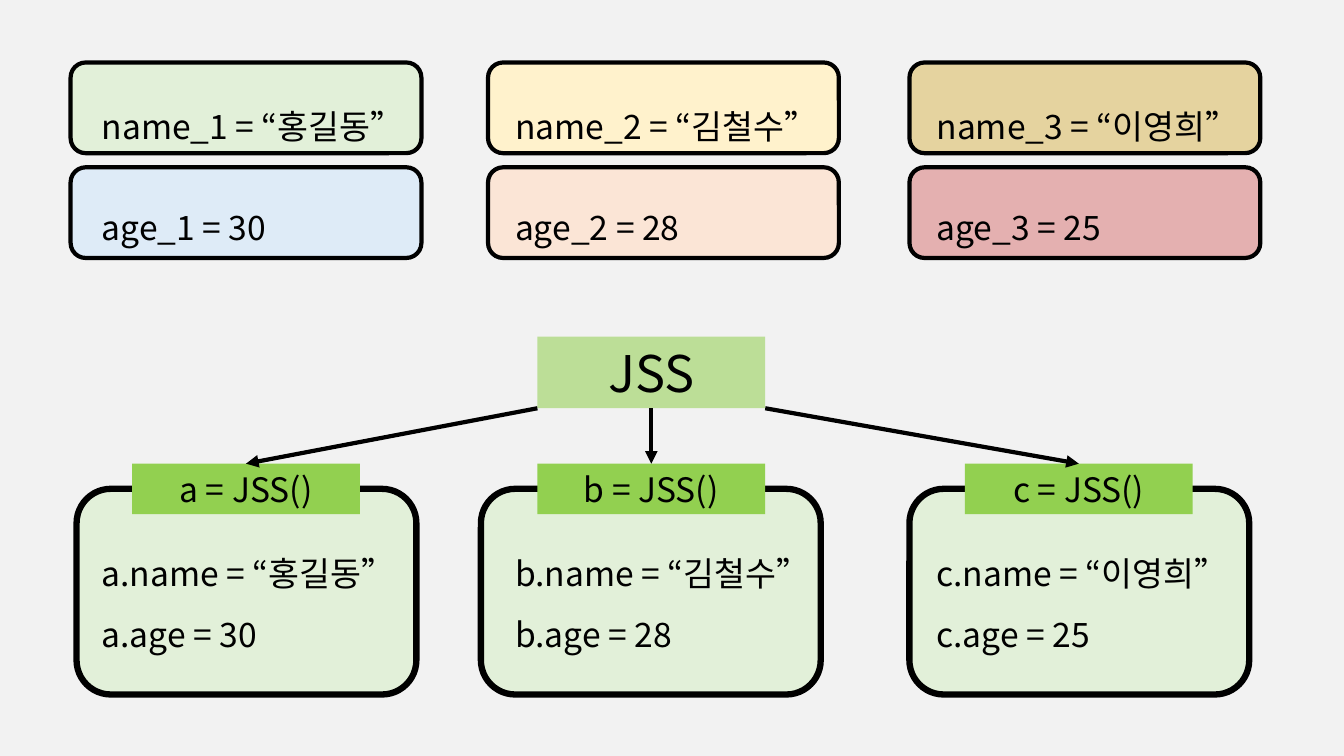
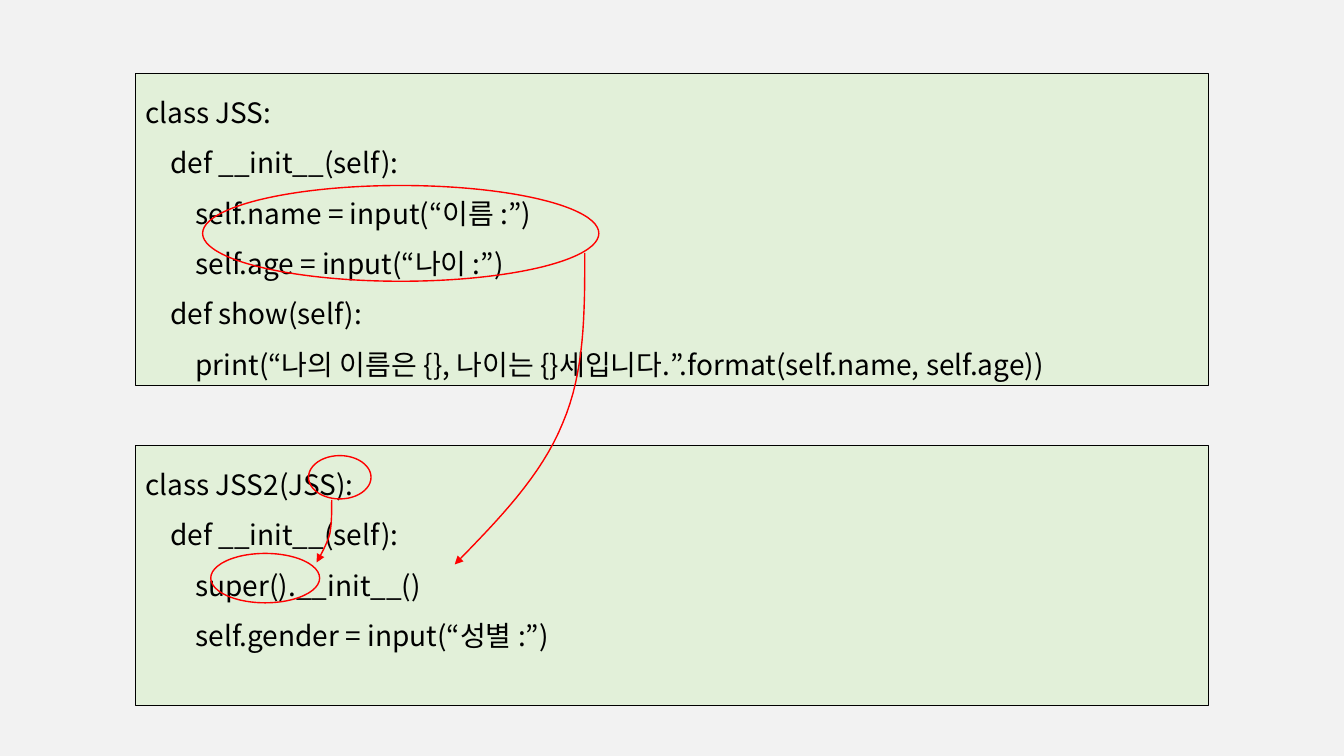
from dataclasses import dataclass
from lxml.etree import SubElement
from pptx import Presentation
from pptx.dml.color import RGBColor
from pptx.enum.shapes import MSO_CONNECTOR, MSO_SHAPE
from pptx.enum.text import MSO_ANCHOR, PP_ALIGN
from pptx.oxml.ns import qn
from pptx.util import Inches, Pt


@dataclass(frozen=True)
class Theme:
    font: str = "Noto Sans CJK KR"
    back: str = "F2F2F2"
    ink: str = "000000"
    pale: str = "E2F0D9"
    lime: str = "92D050"
    mark: str = "FF0000"
    head: int = 36
    body: int = 24
    code: int = 20


THEME = Theme()

# Slide 1: one entry per object; fills are (colour, opacity %)
PEOPLE = [
    dict(var="a", name="홍길동", age=30, card=0.7, text=0.91, body=0.76, tag=1.31,
         fills=[(THEME.pale, 100), ("DEEBF7", 100)]),
    dict(var="b", name="김철수", age=28, card=4.84, text=5.01, body=4.77, tag=5.33,
         fills=[("FFF2CC", 100), ("FBE5D6", 100)]),
    dict(var="c", name="이영희", age=25, card=9.02, text=9.19, body=9.02, tag=9.57,
         fills=[("CC9900", 34), ("C00000", 27)]),
]
CARD_TOP, CARD_STEP = 0.62, 1.04
ROOT = (5.33, 3.34, 2.26, 0.71)
TAG_TOP, TAG_W, TAG_H = 4.6, 2.26, 0.5

# Slide 2: (top, height, lines as (level, text))
CODE_X, CODE_W, INDENT = 1.34, 10.65, 0.25
BLOCKS = [
    (0.73, 3.09, [
        (0, "class JSS:"),
        (1, "def __init__(self):"),
        (2, "self.name = input(“이름 :”)"),
        (2, "self.age = input(“나이 :”)"),
        (1, "def show(self):"),
        (2, "print(“나의 이름은 {}, 나이는 {}세입니다.”.format(self.name, self.age))"),
    ]),
    (4.42, 2.58, [
        (0, "class JSS2(JSS):"),
        (1, "def __init__(self):"),
        (2, "super().__init__()"),
        (2, "self.gender = input(“성별 :”)"),
    ]),
]
RINGS = [(3.06, 4.52, 0.62, 0.43), (2.09, 5.49, 1.08, 0.49), (2.01, 1.84, 3.93, 0.95)]
# Each curve is a chain of cubic Bezier points
CURVES = [
    [(3.29, 4.96), (3.29, 5.08), (3.29, 5.2), (3.27, 5.3),
     (3.24, 5.4), (3.19, 5.49), (3.14, 5.58)],
    [(5.8, 2.51), (5.8, 3.1), (5.8, 3.69), (5.58, 4.2),
     (5.37, 4.72), (4.94, 5.16), (4.51, 5.6)],
]


# Shared helpers
def color(code):
    return RGBColor.from_string(code)


def stroke(shape, code, width, arrow=False):
    shape.line.color.rgb = color(code)
    shape.line.width = Pt(width)
    if arrow:
        SubElement(shape.line._get_or_add_ln(), qn("a:tailEnd"), type="triangle")


def add_box(slide, kind, at, fill=None, line=None, width=1, alpha=100):
    shape = slide.shapes.add_shape(kind, *map(Inches, at))
    shape.shadow.inherit = False
    if fill:
        shape.fill.solid()
        shape.fill.fore_color.rgb = color(fill)
        if alpha < 100:
            tint = shape._element.spPr.find(".//" + qn("a:srgbClr"))
            SubElement(tint, qn("a:alpha"), val=str(alpha * 1000))
    else:
        shape.fill.background()
    if line:
        stroke(shape, line, width)
    else:
        shape.line.fill.background()
    return shape


def write(shape, lines, size, space=1.0, center=False):
    frame = shape.text_frame
    frame.word_wrap = True
    frame.vertical_anchor = MSO_ANCHOR.MIDDLE if center else MSO_ANCHOR.TOP
    for i, (level, text) in enumerate(lines):
        para = frame.add_paragraph() if i else frame.paragraphs[0]
        para.text = text
        para.alignment = PP_ALIGN.CENTER if center else PP_ALIGN.LEFT
        para.line_spacing = space
        para.font.size = Pt(size)
        para.font.color.rgb = color(THEME.ink)
        para.font.name = THEME.font
        props = para._p.get_or_add_pPr()
        SubElement(props.find(qn("a:defRPr")), qn("a:ea"), typeface=THEME.font)
        if level:
            props.set("marL", str(Inches(level * INDENT)))
            props.set("indent", "0")


def add_text(slide, at, lines, space):
    box = slide.shapes.add_textbox(*map(Inches, at))
    write(box, [(0, line) for line in lines], THEME.body, space)


def add_arrow(slide, start, tag, root=None):
    x, y = map(Inches, start)
    line = slide.shapes.add_connector(MSO_CONNECTOR.STRAIGHT, x, y, x, y)
    if root:
        line.begin_connect(root, 2)
    line.end_connect(tag, 0)
    stroke(line, THEME.ink, 3, arrow=True)
    SubElement(line._element.spPr, qn("a:effectLst"))


def trace(chain, steps=16):
    points = [chain[0]]
    for i in range(0, len(chain) - 1, 3):
        for k in range(1, steps + 1):
            t = k / steps
            parts = ((1 - t) ** 3, 3 * t * (1 - t) ** 2, 3 * t * t * (1 - t), t ** 3)
            points.append(tuple(sum(w * p[axis] for w, p in zip(parts, chain[i:i + 4]))
                                for axis in (0, 1)))
    return [(Inches(x), Inches(y)) for x, y in points]


def add_curve(slide, chain):
    first, *rest = trace(chain)
    path = slide.shapes.build_freeform(*first)
    path.add_line_segments(rest, close=False)
    curve = path.convert_to_shape()
    curve.shadow.inherit = False
    curve.fill.background()
    stroke(curve, THEME.mark, 1, arrow=True)


def new_slide(deck):
    slide = deck.slides.add_slide(deck.slide_layouts[6])
    slide.background.fill.solid()
    slide.background.fill.fore_color.rgb = color(THEME.back)
    return slide


# Slide 1: loose variables above, objects of one class below
def draw_class(deck):
    slide = new_slide(deck)
    left, top, width, height = ROOT
    base = top + height
    root = add_box(slide, MSO_SHAPE.RECTANGLE, ROOT, THEME.lime, alpha=56)
    write(root, [(0, "JSS")], THEME.head, center=True)
    starts = [left, left + width / 2, left + width]
    for i, one in enumerate(PEOPLE):
        var, name, age = one["var"], one["name"], one["age"]
        for row, (fill, alpha) in enumerate(one["fills"]):
            at = (one["card"], CARD_TOP + row * CARD_STEP, 3.48, 0.9)
            add_box(slide, MSO_SHAPE.ROUNDED_RECTANGLE, at, fill, THEME.ink, 3, alpha)
        add_text(slide, (one["text"], 0.4, 3.41, 1.97),
                 [f"name_{i + 1} = “{name}”", f"age_{i + 1} = {age}"], 2.5)
        add_box(slide, MSO_SHAPE.ROUNDED_RECTANGLE, (one["body"], 4.85, 3.37, 2.04),
                THEME.pale, THEME.ink, 4.5)
        add_text(slide, (one["text"], 5.24, 3.41, 1.26),
                 [f"{var}.name = “{name}”", f"{var}.age = {age}"], 1.5)
        tag = add_box(slide, MSO_SHAPE.RECTANGLE, (one["tag"], TAG_TOP, TAG_W, TAG_H), THEME.lime)
        write(tag, [(0, f"{var} = JSS()")], THEME.body, center=True)
        add_arrow(slide, (starts[i], base), tag, root if i == 1 else None)


# Slide 2: two code blocks with linked marks
def draw_code(deck):
    slide = new_slide(deck)
    for top, height, lines in BLOCKS:
        block = add_box(slide, MSO_SHAPE.RECTANGLE, (CODE_X, top, CODE_W, height),
                        THEME.pale, THEME.ink, 0.75)
        write(block, lines, THEME.code, 1.5)
    for ring in RINGS:
        add_box(slide, MSO_SHAPE.OVAL, ring, line=THEME.mark)
    for chain in CURVES:
        add_curve(slide, chain)


def main():
    deck = Presentation()
    deck.slide_width, deck.slide_height = Inches(13.33), Inches(7.5)
    draw_class(deck)
    draw_code(deck)
    deck.save("out.pptx")


if __name__ == "__main__":
    main()
